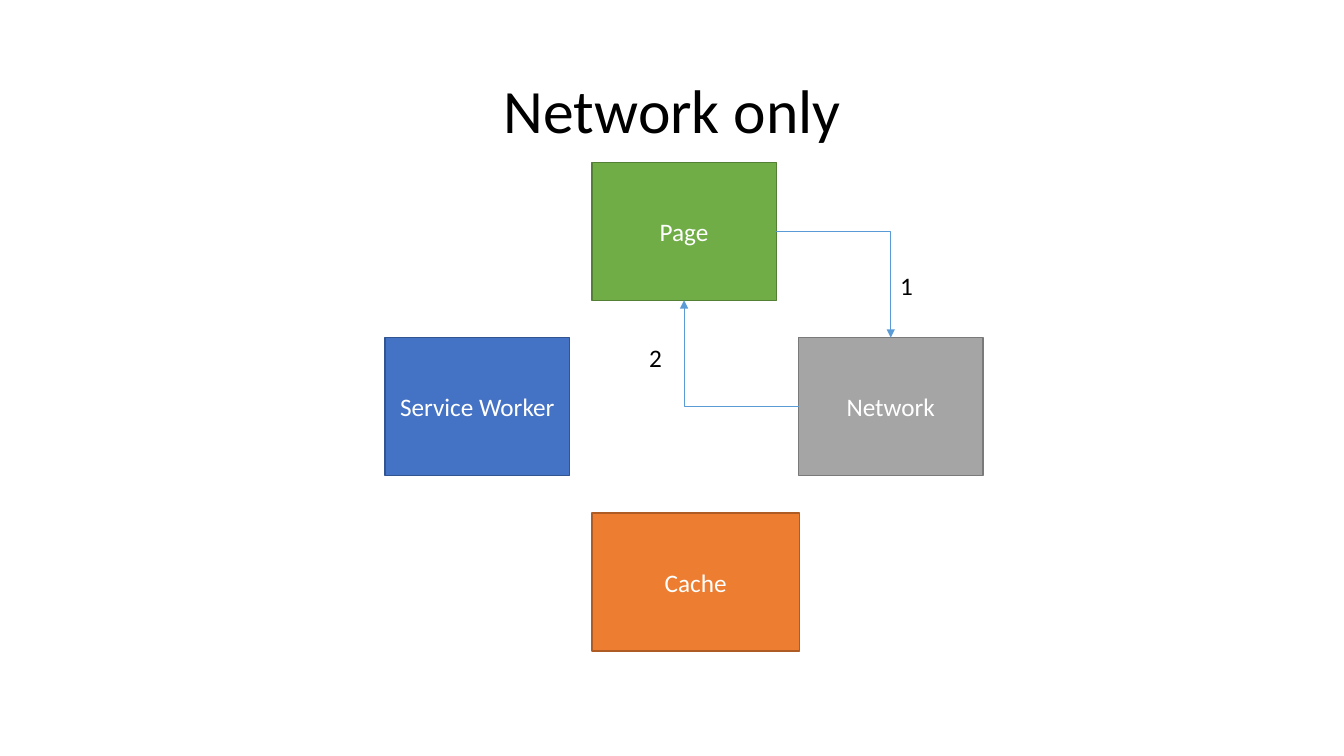
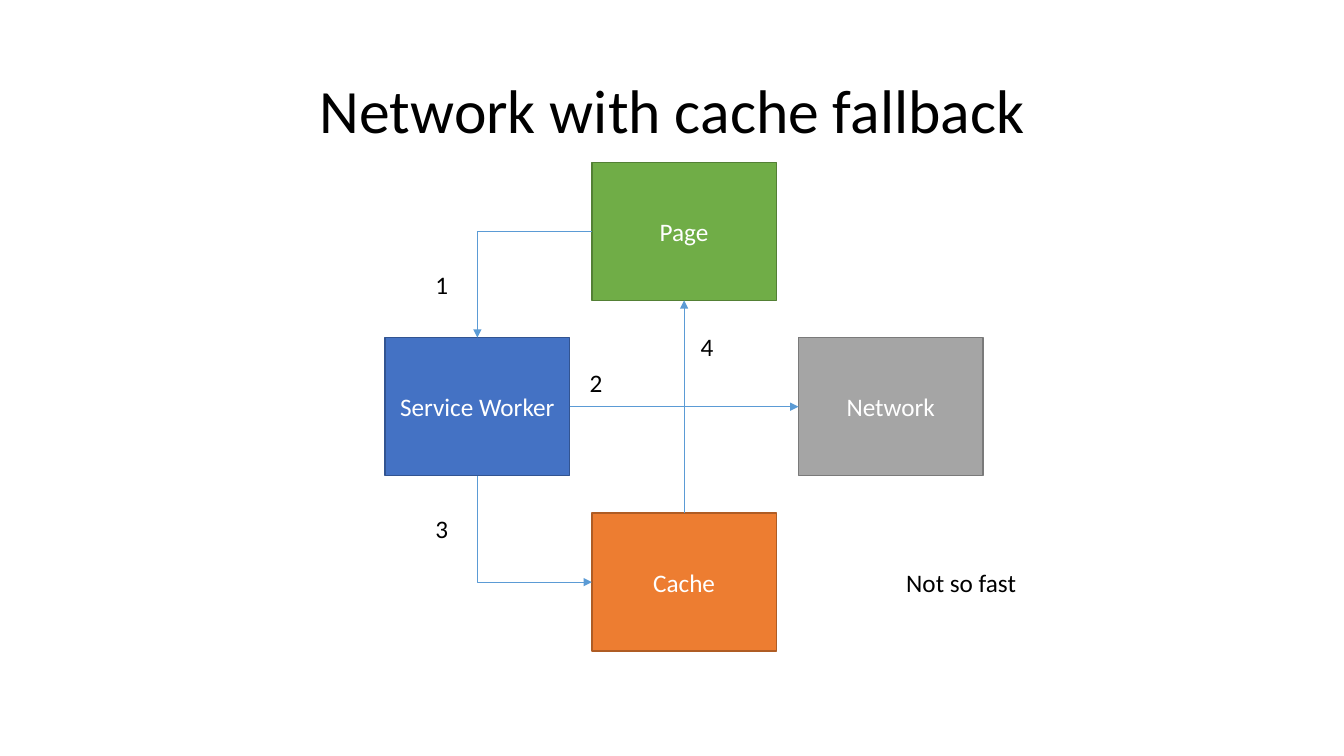
from dataclasses import dataclass

from lxml import etree
from pptx import Presentation
from pptx.dml.color import RGBColor
from pptx.enum.shapes import MSO_CONNECTOR, MSO_SHAPE
from pptx.enum.text import MSO_ANCHOR, MSO_AUTO_SIZE, PP_ALIGN
from pptx.oxml.ns import qn
from pptx.util import Inches, Pt

RECTANGLE = MSO_SHAPE.RECTANGLE
STRAIGHT, ELBOW = MSO_CONNECTOR.STRAIGHT, MSO_CONNECTOR.ELBOW
MIDDLE, TOP_ANCHOR = MSO_ANCHOR.MIDDLE, MSO_ANCHOR.TOP
CENTER, LEFT_ALIGN = PP_ALIGN.CENTER, PP_ALIGN.LEFT
FIT_TEXT, FIXED_SIZE = MSO_AUTO_SIZE.SHAPE_TO_FIT_TEXT, MSO_AUTO_SIZE.NONE
TOP, LEFT, BOTTOM, RIGHT = range(4)

COLORS = {
    "text": "000000",
    "node_text": "FFFFFF",
    "background": "FFFFFF",
    "arrow": "5B9BD5",
    "page": "70AD47",
    "page_line": "538035",
    "worker": "4472C4",
    "worker_line": "325491",
    "network": "A5A5A5",
    "network_line": "7A7A7A",
    "cache": "ED7D31",
    "cache_line": "AF5C24",
}
FONT = "Calibri"
GRID_LEFT, GRID_TOP = 3.82, 1.61
COLUMN_STEP, ROW_STEP = 2.05, 1.74
NODE_WIDTH, NODE_HEIGHT = 1.83, 1.37
LABEL_HEIGHT = 0.4


@dataclass(frozen=True)
class TextStyle:
    size: int
    color: str
    frame: dict
    paragraph: dict


@dataclass(frozen=True)
class Node:
    key: str
    text: str
    column: int
    row: int


@dataclass(frozen=True)
class Arrow:
    start: str
    start_side: int
    end: str
    end_side: int


@dataclass(frozen=True)
class Label:
    text: str
    left: float
    top: float
    width: float = 0.33


@dataclass(frozen=True)
class Diagram:
    title: str
    arrows: tuple
    labels: tuple
    cache_width: float = NODE_WIDTH


TITLE_STYLE = TextStyle(
    44, "text",
    {"word_wrap": True, "auto_size": FIXED_SIZE, "vertical_anchor": MIDDLE},
    {"alignment": CENTER, "line_spacing": 0.9},
)
NODE_STYLE = TextStyle(
    18, "node_text",
    {"word_wrap": True, "vertical_anchor": MIDDLE},
    {"alignment": CENTER},
)
LABEL_STYLE = TextStyle(
    18, "text",
    {"word_wrap": False, "auto_size": FIT_TEXT, "vertical_anchor": TOP_ANCHOR},
    {"alignment": LEFT_ALIGN},
)

NODES = (
    Node("page", "Page", 1, 0),
    Node("worker", "Service Worker", 0, 1),
    Node("network", "Network", 2, 1),
    Node("cache", "Cache", 1, 2),
)

DIAGRAMS = (
    Diagram(
        "Network only",
        (
            Arrow("page", RIGHT, "network", TOP),
            Arrow("network", LEFT, "page", BOTTOM),
        ),
        (Label("1", 8.83, 2.63), Label("2", 6.34, 3.35)),
        cache_width=2.06,
    ),
    Diagram(
        "Network with cache fallback",
        (
            Arrow("page", LEFT, "worker", TOP),
            Arrow("worker", BOTTOM, "cache", LEFT),
            Arrow("worker", RIGHT, "network", LEFT),
            Arrow("cache", TOP, "page", BOTTOM),
        ),
        (
            Label("1", 4.22, 2.62),
            Label("3", 4.22, 5.04),
            Label("2", 5.75, 3.59),
            Label("4", 6.85, 3.24),
            Label("Not so fast", 8.89, 5.58, 1.3),
        ),
    ),
)


def rgb(name: str) -> RGBColor:
    return RGBColor.from_string(COLORS[name])


def apply_format(target, values: dict) -> None:
    for name, value in values.items():
        setattr(target, name, value)


def write_text(shape, text: str, style: TextStyle) -> None:
    frame = shape.text_frame
    apply_format(frame, style.frame)
    paragraph = frame.paragraphs[0]
    apply_format(paragraph, style.paragraph)
    run = paragraph.add_run()
    run.text = text
    apply_format(run.font, {"name": FONT, "size": Pt(style.size)})
    run.font.color.rgb = rgb(style.color)


def add_text(slide, text: str, box: tuple, style: TextStyle) -> None:
    write_text(slide.shapes.add_textbox(*map(Inches, box)), text, style)


def add_node(slide, node: Node, width: float):
    left = GRID_LEFT + node.column * COLUMN_STEP
    top = GRID_TOP + node.row * ROW_STEP
    shape = slide.shapes.add_shape(
        RECTANGLE, *map(Inches, (left, top, width, NODE_HEIGHT)))
    shape.shadow.inherit = False
    shape.fill.solid()
    shape.fill.fore_color.rgb = rgb(node.key)
    shape.line.color.rgb = rgb(f"{node.key}_line")
    shape.line.width = Pt(1)
    write_text(shape, node.text, NODE_STYLE)
    return shape


def bend_once(connector, starts_vertical: bool) -> None:
    properties = connector._element.spPr
    properties.find(qn("a:prstGeom")).set("prst", "bentConnector2")
    if not starts_vertical:
        return
    goes_down = connector.end_y > connector.begin_y
    goes_left = connector.end_x < connector.begin_x
    width, height = connector.width, connector.height
    inset = (width - height) // 2
    apply_format(connector, {
        "left": connector.left + inset,
        "top": connector.top - inset,
        "width": height,
        "height": width,
    })
    transform = properties.find(qn("a:xfrm"))
    transform.set("rot", str(270 * 60000))
    transform.set("flipH", str(int(goes_down)))
    transform.set("flipV", str(int(goes_left)))


def add_arrow(slide, arrow: Arrow, shapes: dict) -> None:
    is_straight = arrow.start_side % 2 == arrow.end_side % 2
    connector = slide.shapes.add_connector(
        STRAIGHT if is_straight else ELBOW, 0, 0, 0, 0)
    connector.begin_connect(shapes[arrow.start], arrow.start_side)
    connector.end_connect(shapes[arrow.end], arrow.end_side)
    if not is_straight:
        bend_once(connector, arrow.start_side in (TOP, BOTTOM))
    connector.line.color.rgb = rgb("arrow")
    connector.line.width = Pt(0.5)
    properties = connector._element.spPr
    etree.SubElement(properties.find(qn("a:ln")), qn("a:tailEnd"), type="triangle")
    etree.SubElement(properties, qn("a:effectLst"))


def add_diagram(presentation, diagram: Diagram) -> None:
    slide = presentation.slides.add_slide(presentation.slide_layouts[6])
    slide.background.fill.solid()
    slide.background.fill.fore_color.rgb = rgb("background")
    add_text(slide, diagram.title, (0.92, 0.4, 11.5, 1.45), TITLE_STYLE)
    shapes = {}
    for node in NODES:
        width = diagram.cache_width if node.key == "cache" else NODE_WIDTH
        shapes[node.key] = add_node(slide, node, width)
    for arrow in diagram.arrows:
        add_arrow(slide, arrow, shapes)
    for label in diagram.labels:
        box = (label.left, label.top, label.width, LABEL_HEIGHT)
        add_text(slide, label.text, box, LABEL_STYLE)


def main() -> None:
    presentation = Presentation()
    apply_format(presentation, {
        "slide_width": Inches(13.33),
        "slide_height": Inches(7.5),
    })
    for diagram in DIAGRAMS:
        add_diagram(presentation, diagram)
    presentation.save("out.pptx")


if __name__ == "__main__":
    main()
